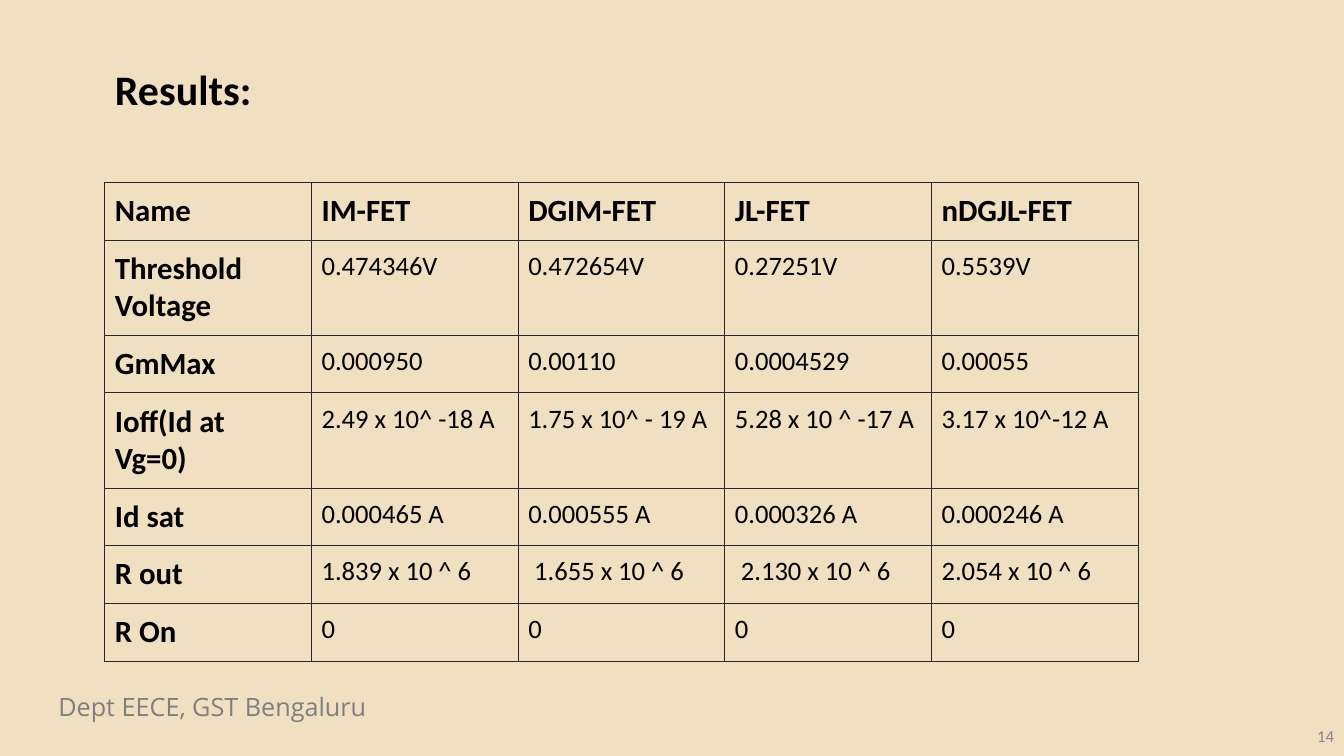
from lxml.etree import SubElement as Sub
from pptx import Presentation
from pptx.dml.color import RGBColor as Rgb
from pptx.enum.text import MSO_ANCHOR as Anchor, MSO_AUTO_SIZE as AutoSize, PP_ALIGN as Align
from pptx.oxml.ns import qn
from pptx.util import Inches, Pt

COLOURS = {"sand": "F0E0C1", "ink": "000000", "rule": "282828",
           "footer": "7F7F7F", "number": "888888"}
RESULTS = [
    ["Name", "IM-FET", "DGIM-FET", "JL-FET", "nDGJL-FET"],
    ["Threshold Voltage", "0.474346V", "0.472654V", "0.27251V", "0.5539V"],
    ["GmMax", "0.000950", "0.00110", "0.0004529", "0.00055"],
    ["Ioff(Id at Vg=0)", "2.49 x 10^ -18 A", "1.75 x 10^ - 19 A",
     "5.28 x 10 ^ -17 A", "3.17 x 10^-12 A"],
    ["Id sat", "0.000465 A", "0.000555 A", "0.000326 A", "0.000246 A"],
    ["R out", "1.839 x 10 ^ 6", " 1.655 x 10 ^ 6", " 2.130 x 10 ^ 6", "2.054 x 10 ^ 6"],
    ["R On", "0", "0", "0", "0"],
]
ROW_HEIGHTS = [0.53, 0.87, 0.53, 0.87, 0.53, 0.53, 0.53]
COLUMN_WIDTH = 2.05


class SlideBuilder:
    """Holds the style and the current slide, and adds its elements."""

    def __init__(self, deck):
        self.page = deck.slides.add_slide(deck.slide_layouts[5])
        fill = self.page.background.fill
        fill.solid()
        fill.fore_color.rgb = Rgb.from_string(COLOURS["sand"])

    def add_text(self, frame, text, size, colour="ink", face="Calibri", bold=False,
                 align=Align.LEFT):
        para = frame.paragraphs[0]
        para.alignment = align
        span = para.add_run()
        span.text = text
        values = {"name": face, "size": Pt(size), "bold": bold}
        for name, value in values.items():
            setattr(span.font, name, value)
        span.font.color.rgb = Rgb.from_string(COLOURS[colour])

    def fit(self, frame, anchor, inset):
        values = {"word_wrap": True, "auto_size": AutoSize.NONE, "vertical_anchor": anchor,
                  "margin_left": Inches(0.1), "margin_right": Inches(0.1),
                  "margin_top": Inches(inset), "margin_bottom": Inches(inset)}
        for name, value in values.items():
            setattr(frame, name, value)

    def title(self, text, left, top, width, height):
        box = self.page.shapes.title
        place = {"left": left, "top": top, "width": width, "height": height}
        for name, value in place.items():
            setattr(box, name, Inches(value))
        self.fit(box.text_frame, Anchor.TOP, 0.1)
        self.add_text(box.text_frame, text, 30, bold=True)

    def label(self, text, place, size, anchor=Anchor.TOP, **style):
        box = self.page.shapes.add_textbox(*map(Inches, place))
        self.fit(box.text_frame, anchor, 0.05)
        self.add_text(box.text_frame, text, size, **style)

    def border(self, cell):
        props = cell._tc.get_or_add_tcPr()
        for side in ("a:lnL", "a:lnR", "a:lnT", "a:lnB"):
            line = Sub(props, qn(side), w=str(Pt(0.75)))
            Sub(Sub(line, qn("a:solidFill")), qn("a:srgbClr"), val=COLOURS["rule"])

    def table(self, rows, left, top):
        width = COLUMN_WIDTH * len(rows[0])
        place = map(Inches, (left, top, width, sum(ROW_HEIGHTS)))
        grid = self.page.shapes.add_table(len(rows), len(rows[0]), *place).table
        grid.first_row = grid.horz_banding = False
        for column in grid.columns:
            column.width = Inches(COLUMN_WIDTH)
        for r, texts in enumerate(rows):
            grid.rows[r].height = Inches(ROW_HEIGHTS[r])
            for c, text in enumerate(texts):
                cell = grid.cell(r, c)
                heading = r == 0 or c == 0
                for side in ("left", "right", "top", "bottom"):
                    setattr(cell, f"margin_{side}", Inches(0.1))
                self.border(cell)
                cell.fill.background()
                self.add_text(cell.text_frame, text, 22 if heading else 19, bold=heading)


def main():
    deck = Presentation()
    deck.slide_width, deck.slide_height = Inches(13.33), Inches(7.5)
    slide = SlideBuilder(deck)
    slide.title("Results:", 1.04, 0.53, 8.77, 0.86)
    slide.table(RESULTS, 1.04, 1.81)
    slide.label("Dept EECE, GST Bengaluru", (0.48, 6.81, 5.24, 0.4), 18,
                colour="footer", face="Open Sans")
    slide.label("14", (10.33, 7.1, 3, 0.4), 12, Anchor.MIDDLE,
                colour="number", align=Align.RIGHT)
    deck.save("out.pptx")


if __name__ == "__main__":
    main()
